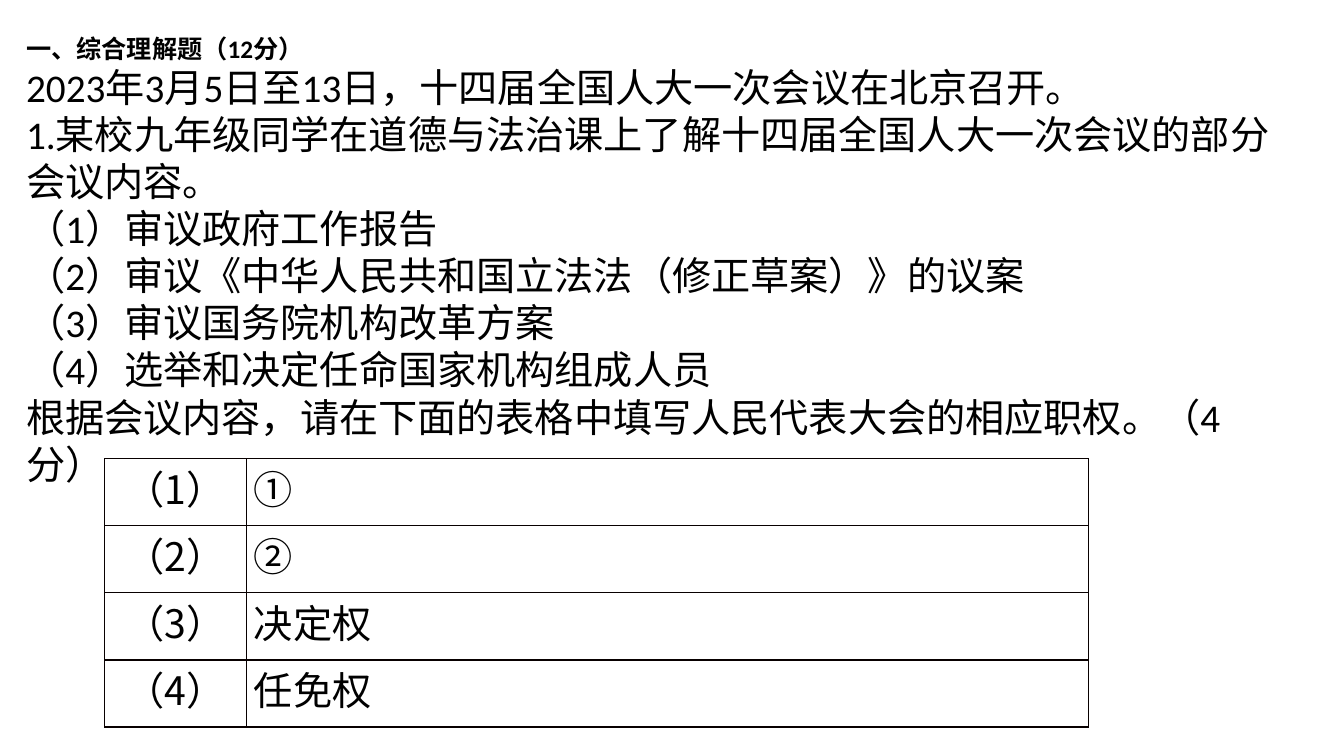
from dataclasses import dataclass

from lxml import etree
from pptx import Presentation, util as u
from pptx.dml.color import RGBColor
from pptx.enum import text
from pptx.oxml import ns


@dataclass(frozen=True)
class Theme:
    """Colours, fonts and type sizes of the slide."""
    ink: str = "000000"
    rule: str = "080000"
    line: float = 1
    head: float = 18
    body: float = 28
    font: str = "Calibri"
    cjk: str = "Noto Sans CJK SC"


THEME = Theme()
TITLE = "一、综合理解题（12分）"
BODY = [
    "2023年3月5日至13日，十四届全国人大一次会议在北京召开。",
    "1.某校九年级同学在道德与法治课上了解十四届全国人大一次会议的部分会议内容。",
    "（1）审议政府工作报告",
    "（2）审议《中华人民共和国立法法（修正草案）》的议案",
    "（3）审议国务院机构改革方案",
    "（4）选举和决定任命国家机构组成人员",
    "根据会议内容，请在下面的表格中填写人民代表大会的相应职权。（4分）",
]
POWERS = ["①", "②", "决定权", "任免权"]


def style(para, size, font, bold=False):
    """Set the font of a whole paragraph."""
    face = para.font
    face.size, face.name, face.bold = u.Pt(size), font, bold
    face.color.rgb = RGBColor.from_string(THEME.ink)


def frame(cell):
    """Draw the four borders of a table cell."""
    props = cell._tc.get_or_add_tcPr()
    for i, side in enumerate(("lnL", "lnR", "lnT", "lnB")):
        edge = etree.Element(ns.qn(f"a:{side}"), w=str(u.Pt(THEME.line)))
        fill = etree.SubElement(edge, ns.qn("a:solidFill"))
        etree.SubElement(fill, ns.qn("a:srgbClr"), val=THEME.rule)
        props.insert(i, edge)


def answers(slide, box, first):
    """Place the numbered answer table; first is the width of column one."""
    left, top, width, height = box
    grid = slide.shapes.add_table(len(POWERS), 2, *map(u.Cm, box)).table
    grid.first_row = grid.horz_banding = False
    for col, size in zip(grid.columns, (first, width - first)):
        col.width = u.Cm(size)
    for r, power in enumerate(POWERS):
        for c, words in enumerate((f"（{r + 1}）", power)):
            cell = grid.cell(r, c)
            cell.margin_left = cell.margin_right = u.Cm(0.18)
            cell.margin_top = cell.margin_bottom = 0
            cell.fill.background()
            frame(cell)
            para = cell.text_frame.paragraphs[0]
            para.text = words
            style(para, THEME.body, THEME.cjk)
            if c == 0:
                para.alignment = text.PP_ALIGN.CENTER


def question(slide, box):
    """Place the heading and the question text."""
    area = slide.shapes.add_textbox(*map(u.Cm, box)).text_frame
    area.word_wrap = True
    area.auto_size = text.MSO_AUTO_SIZE.SHAPE_TO_FIT_TEXT
    area.text = "\n".join([TITLE, *BODY])
    title, *rest = area.paragraphs
    style(title, THEME.head, THEME.font, bold=True)
    for para in rest:
        style(para, THEME.body, THEME.font)


def main():
    """Build and save the slide."""
    deck = Presentation()
    deck.slide_width, deck.slide_height = u.Cm(33.87), u.Cm(19.05)
    slide = deck.slides.add_slide(deck.slide_layouts[6])
    answers(slide, (2.64, 11.56, 24.79, 6.76), first=3.58)
    question(slide, (0.41, 0.71, 32.28, 10.59))
    deck.save("out.pptx")


main()
